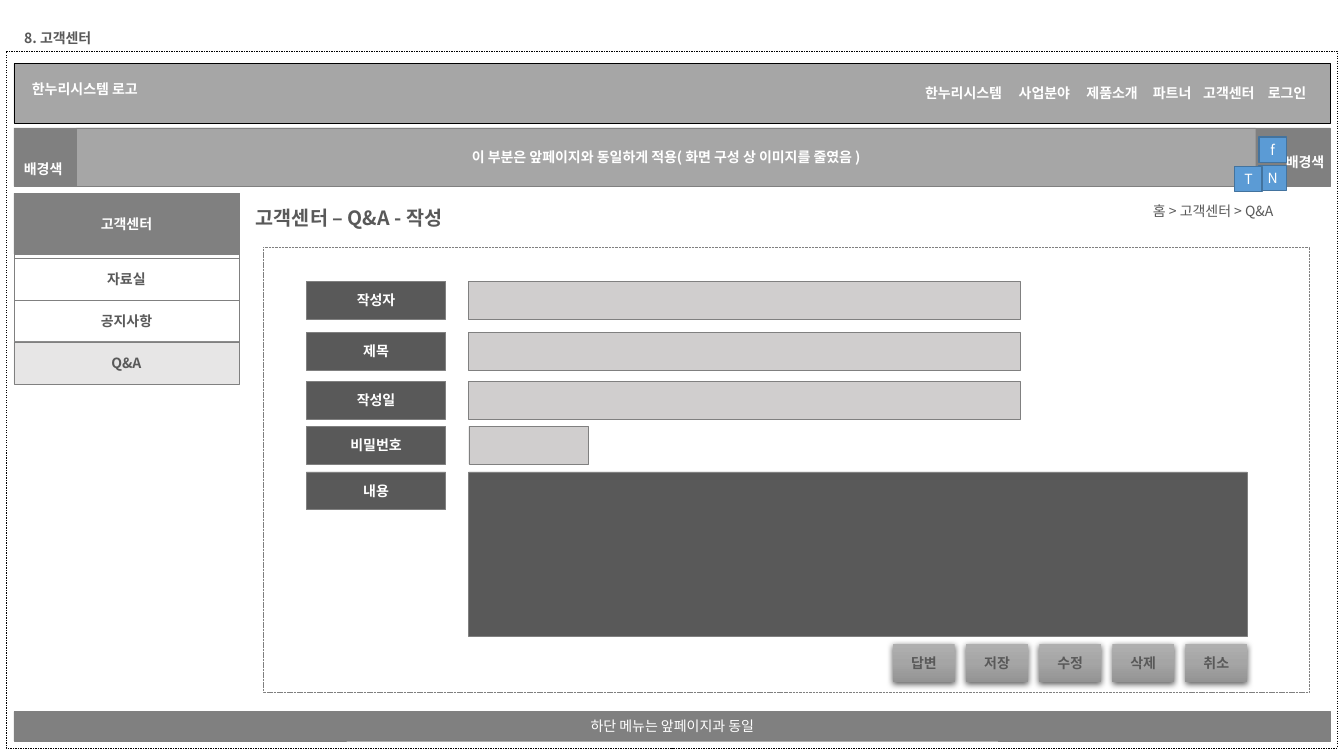
from copy import deepcopy
from typing import NamedTuple

from lxml.etree import SubElement
from pptx import Presentation
from pptx.dml.color import RGBColor
from pptx.enum.dml import MSO_LINE
from pptx.enum.shapes import MSO_SHAPE
from pptx.enum.text import MSO_ANCHOR, MSO_AUTO_SIZE, PP_ALIGN
from pptx.oxml.ns import qn
from pptx.util import Pt

FONT = "Noto Sans CJK KR"
COLORS = {
    "black": "000000",
    "white": "FFFFFF",
    "text": "595959",
    "dark": "595959",
    "bar": "808080",
    "banner": "A6A6A6",
    "field": "D0CECE",
    "selected": "E7E6E6",
    "social": "5B9BD5",
    "social_line": "43739E",
    "button_top": "AFAFAF",
    "button_middle": "A5A5A5",
    "button_bottom": "939393",
}


class Box(NamedTuple):
    left: float
    top: float
    width: float
    height: float

    def inner(self, x, y, width, height):
        """Give the box at an offset from this one's top left corner."""
        return Box(self.left + x, self.top + y, width, height)

    def in_points(self):
        return [Pt(length) for length in self]


def color(name):
    return RGBColor.from_string(COLORS[name])


def format_text(text_frame, text, size, color_name, bold):
    text_frame.text = text
    for run in text_frame.paragraphs[0].runs:
        run.font.size = Pt(size)
        run.font.bold = bold
        run.font.name = FONT
        run.font.color.rgb = color(color_name)
        SubElement(run.font._element, qn("a:ea"), typeface=FONT)


def add_label(slide, box, text, color_name="white", size=10, bold=True):
    """Add one line of text without a frame."""
    text_frame = slide.shapes.add_textbox(*box.in_points()).text_frame
    text_frame.word_wrap = False
    text_frame.auto_size = MSO_AUTO_SIZE.SHAPE_TO_FIT_TEXT
    format_text(text_frame, text, size, color_name, bold)


def add_block(slide, box, fill=None, text="", text_color="white", bold=True,
              line="bar", line_width=0.25, dash=None):
    """Add a rectangle with optional centred text."""
    shape = slide.shapes.add_shape(MSO_SHAPE.RECTANGLE, *box.in_points())
    shape.shadow.inherit = False
    if fill:
        shape.fill.solid()
        shape.fill.fore_color.rgb = color(fill)
    else:
        shape.fill.background()
    shape.line.color.rgb = color(line)
    shape.line.width = Pt(line_width)
    if dash:
        shape.line.dash_style = dash
    if text:
        text_frame = shape.text_frame
        text_frame.margin_left = text_frame.margin_right = Pt(2.8)
        text_frame.margin_top = text_frame.margin_bottom = Pt(1.4)
        text_frame.vertical_anchor = MSO_ANCHOR.MIDDLE
        format_text(text_frame, text, 10, text_color, bold)
        text_frame.paragraphs[0].alignment = PP_ALIGN.CENTER
    return shape


def add_button(slide, box, text):
    """Add a block with a vertical gradient and a soft shadow."""
    shape = add_block(slide, box, text=text, text_color="text")
    shape.line.fill.background()
    shape.fill.gradient()
    shape.fill.gradient_angle = 270
    stop_list = shape._element.spPr.find(".//" + qn("a:gsLst"))
    stop_list.append(deepcopy(stop_list[-1]))
    names = ("button_top", "button_middle", "button_bottom")
    for index, (stop, name) in enumerate(zip(shape.fill.gradient_stops, names)):
        stop.position = index / 2
        stop.color.rgb = color(name)
    effects = shape._element.spPr.find(qn("a:effectLst"))
    shadow = SubElement(effects, qn("a:outerShdw"), blurRad=str(Pt(4.5)),
                        dist=str(Pt(1.5)), dir="5400000", algn="ctr",
                        rotWithShape="0")
    shadow_color = SubElement(shadow, qn("a:srgbClr"), val=COLORS["black"])
    SubElement(shadow_color, qn("a:alpha"), val="63000")


def place_title(slide, box, text):
    title = slide.shapes.title
    title.left, title.top, title.width, title.height = box.in_points()
    text_frame = title.text_frame
    text_frame.word_wrap = False
    text_frame.auto_size = MSO_AUTO_SIZE.NONE
    text_frame.vertical_anchor = MSO_ANCHOR.TOP
    format_text(text_frame, text, 10, "text", True)
    text_frame.paragraphs[0].alignment = PP_ALIGN.LEFT


def add_header(slide, box):
    add_block(slide, box, "banner", line="black")
    add_label(slide, box.inner(5.7, 8.5, 102.2, 19.4), "한누리시스템 로고")
    menu = [("한누리시스템", 643.7, 75), ("사업분야", 710.6, 55),
            ("제품소개", 759, 55), ("파트너", 806.4, 45),
            ("고객센터", 842.4, 55), ("로그인", 888.5, 45)]
    for text, x, width in menu:
        add_label(slide, box.inner(x, 11.5, width, 19.4), text)


def add_banner(slide, box):
    add_block(slide, box, "bar")
    add_block(slide, box.inner(44.6, 0, 842.4, box.height), "banner",
              "이 부분은 앞페이지와 동일하게 적용( 화면 구성 상 이미지를 줄였음 )")
    for x, y in ((0, 19.4), (901.4, 14.4)):
        add_label(slide, box.inner(x, y, 45, 19.4), "배경색")
    for text, x, y in (("f", 889.2, 6.5), ("N", 889.2, 26.6), ("T", 872, 27.4)):
        add_block(slide, box.inner(x, y, 19.6, 18), "social", text, bold=False,
                  line="social_line", line_width=1)


def add_sidebar(slide, box):
    add_block(slide, box)
    add_block(slide, box.inner(0, 0, box.width, 43.2), "bar", "고객센터")
    row_height = 30
    items = [("자료실", None), ("공지사항", None), ("Q&A", "selected")]
    for index, (text, fill) in enumerate(items):
        row = box.inner(0, 46 + index * row_height, box.width, row_height)
        add_block(slide, row, fill, text, "text")


def add_page_heading(slide, box):
    add_label(slide, box.inner(0, 2.2, 165, 24.5), "고객센터 – Q&A - 작성",
              "text", size=14)
    add_label(slide, box.inner(640.8, 0, 116, 19.4), "홈 > 고객센터 > Q&A",
              "text", bold=False)


def add_form(slide, box):
    add_block(slide, box, dash=MSO_LINE.SQUARE_DOT)
    label_x, field_x, row_height = 31, 146.9, 27
    content_width, content_height = 556, 117.4
    rows = [("작성자", 24.5, 393.8, row_height, "field"),
            ("제목", 60.8, 393.8, row_height, "field"),
            ("작성일", 95.8, 393.8, row_height, "field"),
            ("비밀번호", 128.2, 85.7, row_height, "field"),
            ("내용", 160.6, content_width, content_height, "dark")]
    for text, y, field_width, field_height, fill in rows:
        add_block(slide, box.inner(label_x, y, 99.4, row_height), "dark", text)
        add_block(slide, box.inner(field_x, y, field_width, field_height), fill)

    button_width, button_pitch = 44, 52.2
    buttons = ["답변", "저장", "수정", "삭제", "취소"]
    first_x = (field_x + content_width - button_width
               - (len(buttons) - 1) * button_pitch)
    for index, text in enumerate(buttons):
        x = first_x + index * button_pitch
        add_button(slide, box.inner(x, 283.7, button_width, 27), text)


def main():
    presentation = Presentation()
    presentation.slide_width, presentation.slide_height = Pt(960), Pt(540)
    slide = presentation.slides.add_slide(presentation.slide_layouts[5])
    left, width = 10, 940.3
    place_title(slide, Box(left, 17.3, 67, 19.4), "8. 고객센터")
    add_header(slide, Box(left, 45.4, width, 42.5))
    add_block(slide, Box(4.3, 36.7, 951, 497.5), line="black", dash=MSO_LINE.DASH)
    add_block(slide, Box(left, 508.3, width, 21), "bar",
              "하단 메뉴는 앞페이지과 동일", bold=False)
    add_banner(slide, Box(left, 91.4, width, 41.8))
    add_sidebar(slide, Box(left, 138.2, 160.6, 105.8))
    add_page_heading(slide, Box(175.7, 141.1, 757, 27))
    add_form(slide, Box(187.9, 176.4, 747.4, 318.2))
    presentation.save("out.pptx")


if __name__ == "__main__":
    main()
